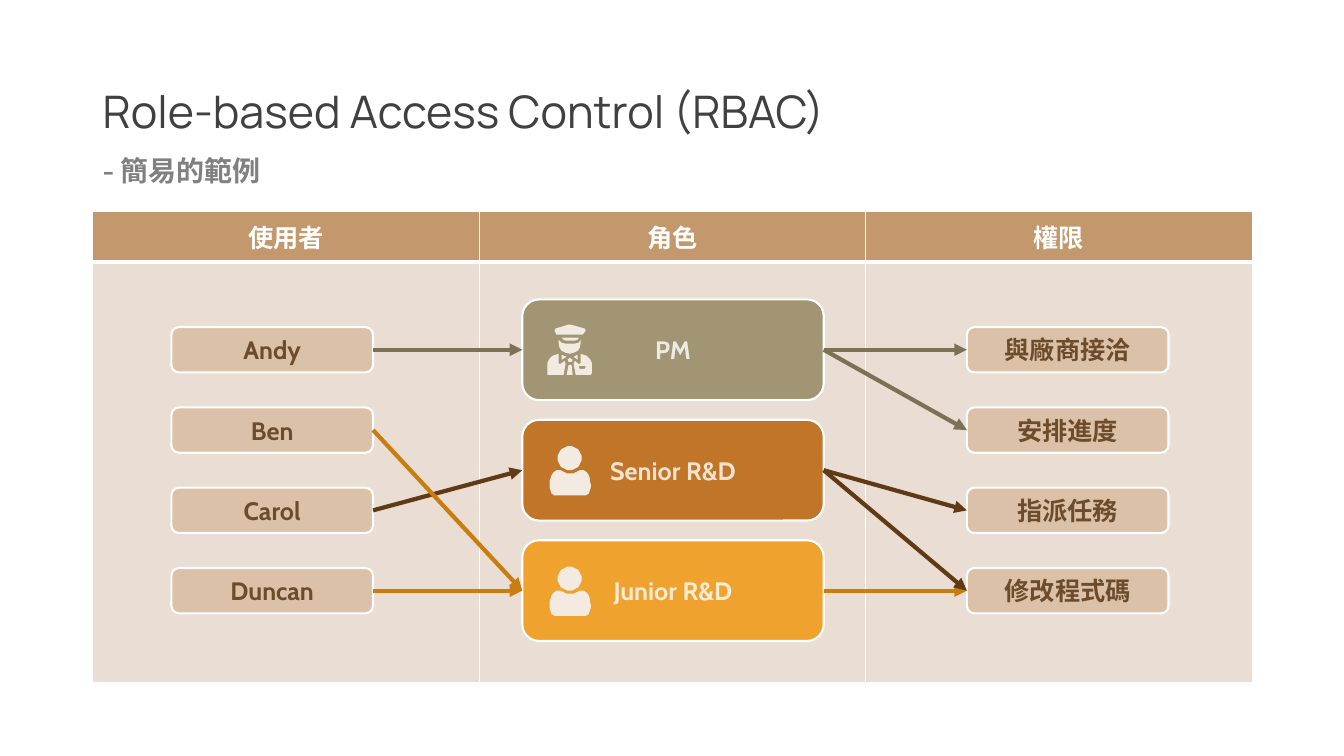
from dataclasses import dataclass
from math import cos, pi, sin

from lxml.etree import SubElement
from pptx import Presentation
from pptx.dml.color import RGBColor
from pptx.enum.shapes import MSO_CONNECTOR as Connector, MSO_SHAPE as Shape
from pptx.enum.text import MSO_ANCHOR as Anchor, PP_ALIGN as Align
from pptx.oxml.ns import qn
from pptx.util import Emu, Inches, Pt

COLORS = {
    "white": "FFFFFF", "title": "404040", "subtitle": "808080",
    "header": "C3986D", "body": "E9DDD4", "item": "DBC1A7", "item text": "6C4C2C",
    "icon": "F3EAE2",
    "pm": "A19574", "pm text": "ECEAE3", "pm arrow": "7C7154",
    "senior": "C17529", "senior text": "F5E3D1", "senior arrow": "603A14",
    "junior": "F0A22E", "junior text": "FCECD5", "junior arrow": "C87D0E",
}
SLIDE_W, SLIDE_H = 13.33, 7.5
MARGIN, CONTENT_W = 0.92, 11.5
TABLE_TOP, HEADER_H, BODY_H = 2.1, 0.5, 4.17
FIRST_CENTER, LAST_CENTER = 3.47, 5.86  # shared by all three columns of boxes
ICON_UNIT = Inches(0.01)

Contour = list[tuple[float, float]]


@dataclass
class Column:
    left: float
    width: float
    height: float


@dataclass
class Item:
    text: str
    fill: str = "item"
    color: str = "item text"


@dataclass
class Icon:
    left: float
    rise: float
    contours: list[Contour]


@dataclass
class Arrow:
    start: str
    end: str
    color: str


HEAD = [(20 + 12 * cos(pi * step / 18), 12 + 12 * sin(pi * step / 18)) for step in range(36)]
SHOULDERS = [
    (41, 38), (40.5, 35), (40, 32), (39, 29), (37, 26), (34, 24.3), (30, 24), (28, 24.7),
    (24, 26.7), (20.5, 27.2), (17, 26.7), (13, 24.7), (11, 24), (7, 24.3), (4, 26), (2, 29),
    (1, 32), (0.5, 35), (0, 38), (0, 41), (0.6, 44.5), (2.2, 47), (5, 48.6), (9, 49),
    (32, 49), (36, 48.6), (38.8, 47), (40.4, 44.5), (41, 41),
]
OFFICER = [
    [(9, 10), (35, 10), (38, 6), (37, 4), (23, 0), (21, 0), (8, 4), (7, 6)],
    [(27, 16), (29.5, 15), (31, 13), (14, 13), (15.5, 15), (18, 16)],
    [(33, 18), (33, 15), (31, 18), (27, 19), (18, 19), (14, 18), (11, 15), (11, 18),
     (12, 23), (14.5, 26.5), (18, 28.5), (22, 29), (26, 28.5), (29.5, 26.5), (32, 23)],
    [(14, 30), (14, 35), (19, 32)],
    [(30, 30), (26, 32), (30, 35)],
    [(21, 37), (24, 37), (25, 35), (22, 33), (20, 35)],
    [(21, 40), (19, 50), (25, 50), (24, 40)],
    [(13, 39), (12, 39), (11, 38), (11, 29), (5, 31), (1.5, 34), (0, 38), (0, 48),
     (0.5, 49.5), (2, 50), (16, 50), (18, 39), (17, 36)],
    [(39, 31), (33, 29), (33, 38), (32, 39), (31, 39), (27, 36), (26, 39), (28, 50),
     (43, 50), (44, 48), (44, 38), (42.5, 34)],
    [(37, 44), (38, 42.5), (37, 41), (32, 41), (31, 42.5), (32, 44)],
]
PERSON = Icon(5.45, 0.24, [HEAD, SHOULDERS])
ICONS = [Icon(5.43, 0.25, OFFICER), PERSON, PERSON]

HEADERS = ["使用者", "角色", "權限"]
ROLES = [
    Item("PM", "pm", "pm text"),
    Item("Senior R&D", "senior", "senior text"),
    Item("Junior R&D", "junior", "junior text"),
]
USERS = [Item(name) for name in ("Andy", "Ben", "Carol", "Duncan")]
RIGHTS = [Item(name) for name in ("與廠商接洽", "安排進度", "指派任務", "修改程式碼")]
COLUMNS = [
    (Column(5.18, 2.99, 1), ROLES),
    (Column(1.7, 2, 0.45), USERS),
    (Column(9.59, 2, 0.45), RIGHTS),
]
ARROWS = [
    Arrow("Andy", "PM", "pm arrow"),
    Arrow("Carol", "Senior R&D", "senior arrow"),
    Arrow("Ben", "Junior R&D", "junior arrow"),
    Arrow("Duncan", "Junior R&D", "junior arrow"),
    Arrow("PM", "與廠商接洽", "pm arrow"),
    Arrow("Junior R&D", "修改程式碼", "junior arrow"),
    Arrow("PM", "安排進度", "pm arrow"),
    Arrow("Senior R&D", "指派任務", "senior arrow"),
    Arrow("Senior R&D", "修改程式碼", "senior arrow"),
]


def rgb(name: str) -> RGBColor:
    return RGBColor.from_string(COLORS[name])


def centers(count: int) -> list[float]:
    """Spread box centres evenly from the first row to the last."""
    step = (LAST_CENTER - FIRST_CENTER) / (count - 1)
    return [FIRST_CENTER + step * index for index in range(count)]


def write(frame, text: str, *, color: str, size: int = 18, font: str = "Cabin",
          bold: bool = True, align=Align.CENTER, anchor=Anchor.MIDDLE,
          spacing: float = 1.0, before: int = 0) -> None:
    frame.word_wrap = True
    frame.vertical_anchor = anchor
    para = frame.paragraphs[0]
    para.alignment, para.line_spacing, para.space_before = align, spacing, Pt(before)
    span = para.add_run()
    span.text = text
    span.font.name, span.font.size, span.font.bold = font, Pt(size), bold
    span.font.color.rgb = rgb(color)


def add_heading(page, top: float, height: float, text: str, **style) -> None:
    box = page.shapes.add_textbox(Inches(MARGIN), Inches(top), Inches(CONTENT_W), Inches(height))
    write(box.text_frame, text, align=Align.LEFT, spacing=0.9, **style)


def style_cell(cell, fill: str, bottom: float) -> None:
    props = cell._tc.get_or_add_tcPr()
    for side, width in (("L", 1), ("R", 1), ("T", 1), ("B", bottom)):
        border = SubElement(props, qn(f"a:ln{side}"), w=str(Pt(width)))
        SubElement(SubElement(border, qn("a:solidFill")), qn("a:srgbClr"), val=COLORS["white"])
    cell.fill.solid()
    cell.fill.fore_color.rgb = rgb(fill)


def add_table(page) -> None:
    table = page.shapes.add_table(2, len(HEADERS), Inches(MARGIN), Inches(TABLE_TOP),
                                  Inches(CONTENT_W), Inches(HEADER_H + BODY_H)).table
    table.rows[0].height, table.rows[1].height = Inches(HEADER_H), Inches(BODY_H)
    for index, header in enumerate(HEADERS):
        style_cell(table.cell(0, index), "header", 3)
        style_cell(table.cell(1, index), "body", 1)
        cell = table.cell(0, index)
        write(cell.text_frame, header, color="white")
        cell.vertical_anchor = Anchor.MIDDLE


def add_box(page, column: Column, center: float, item: Item):
    box = page.shapes.add_shape(Shape.ROUNDED_RECTANGLE, Inches(column.left),
                                Inches(center - column.height / 2),
                                Inches(column.width), Inches(column.height))
    box.shadow.inherit = False
    box.fill.solid()
    box.fill.fore_color.rgb = rgb(item.fill)
    box.line.color.rgb, box.line.width = rgb("white"), Pt(1.5)
    write(box.text_frame, item.text, color=item.color)
    return box


def add_icon(page, icon: Icon, center: float) -> None:
    first, *others = icon.contours
    builder = page.shapes.build_freeform(*first[0], scale=float(ICON_UNIT))
    builder.add_line_segments(first[1:])
    for contour in others:
        builder.move_to(*contour[0])
        builder.add_line_segments(contour[1:])
    shape = builder.convert_to_shape(Inches(icon.left), Inches(center - icon.rise))
    shape.shadow.inherit = False
    shape.fill.solid()
    shape.fill.fore_color.rgb = rgb("icon")
    shape.line.fill.background()


def add_arrow(page, start, end, color: str) -> None:
    arrow = page.shapes.add_connector(Connector.STRAIGHT, Emu(0), Emu(0), Emu(0), Emu(0))
    arrow.begin_connect(start, 3)
    arrow.end_connect(end, 1)
    arrow.line.color.rgb, arrow.line.width = rgb(color), Pt(3)
    SubElement(arrow.line._get_or_add_ln(), qn("a:tailEnd"), type="triangle")
    SubElement(arrow._element.spPr, qn("a:effectLst"))


def main() -> None:
    deck = Presentation()
    deck.slide_width, deck.slide_height = Inches(SLIDE_W), Inches(SLIDE_H)
    page = deck.slides.add_slide(deck.slide_layouts[6])
    add_table(page)
    add_heading(page, 0.4, 1.02, "Role-based Access Control (RBAC)", color="title",
                size=32, font="Manrope", bold=False, anchor=Anchor.BOTTOM)
    add_heading(page, 1.46, 0.5, "- 簡易的範例", color="subtitle", size=20, before=10)
    boxes = {item.text: add_box(page, column, center, item)
             for column, items in COLUMNS
             for item, center in zip(items, centers(len(items)))}
    for icon, center in zip(ICONS, centers(len(ICONS))):
        add_icon(page, icon, center)
    for arrow in ARROWS:
        add_arrow(page, boxes[arrow.start], boxes[arrow.end], arrow.color)
    deck.save("out.pptx")


if __name__ == "__main__":
    main()
